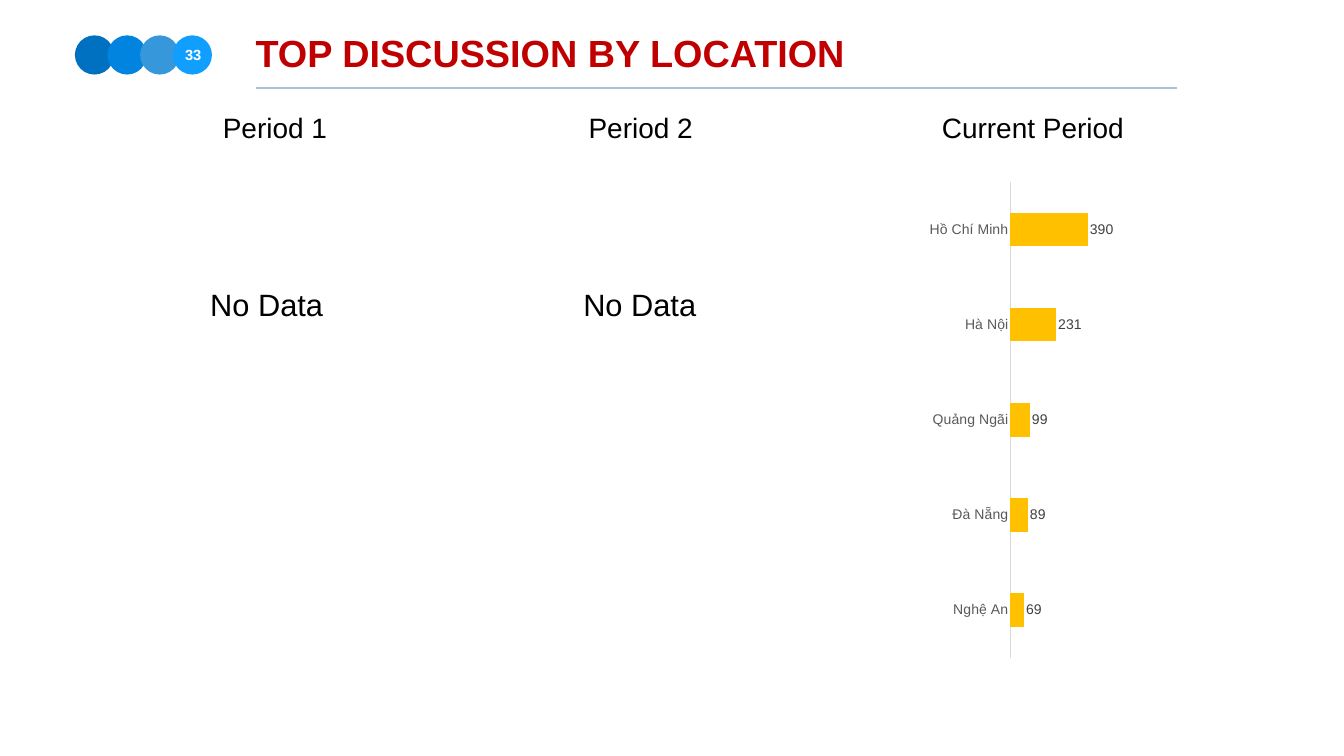
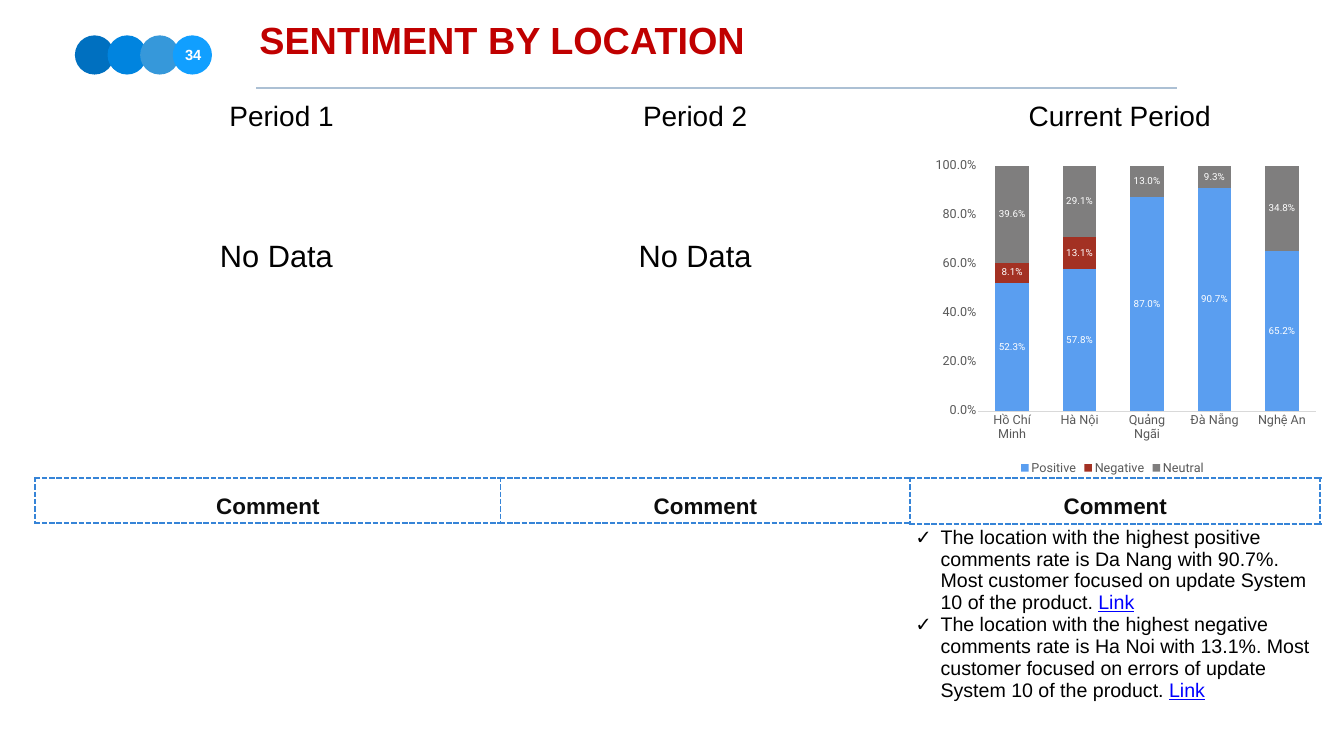
from dataclasses import dataclass

from lxml.etree import SubElement
from pptx import Presentation
from pptx.chart.data import CategoryChartData
from pptx.dml.color import RGBColor
from pptx.enum.chart import XL_CHART_TYPE, XL_LABEL_POSITION, XL_LEGEND_POSITION, XL_TICK_MARK
from pptx.enum.shapes import MSO_CONNECTOR, MSO_SHAPE
from pptx.enum.text import MSO_ANCHOR, MSO_AUTO_SIZE, PP_ALIGN
from pptx.oxml import parse_xml
from pptx.oxml.ns import nsdecls, qn
from pptx.util import Pt


@dataclass(frozen=True)
class Theme:
    font: str = "Arial"
    chart_font: str = "Roboto"
    title: str = "C00000"
    text: str = "000000"
    heading: str = "0D0D0D"
    white: str = "FFFFFF"
    link: str = "0000FF"
    rule: str = "ACC0D4"
    border: str = "3684D7"
    axis_text: str = "595959"
    axis_line: str = "D9D9D9"
    bar_label: str = "404040"
    bar: str = "FFC000"
    circles: tuple = ("0070C0", "0084DF", "3698DA", "119FFF")
    sentiment: tuple = ("5A9EF0", "A33123", "7F7E7E")
    title_size: int = 54
    number_size: int = 21
    period_size: int = 40
    no_data_size: int = 44
    comment_size: int = 32
    body_size: int = 28
    bar_size: int = 20
    axis_size: int = 18
    share_size: int = 14


THEME = Theme()
LOCATIONS = ("Hồ Chí Minh", "Hà Nội", "Quảng Ngãi", "Đà Nẵng", "Nghệ An")
MENTIONS = (390, 231, 99, 89, 69)
SENTIMENT = {
    "Positive": (0.523, 0.578, 0.87, 0.907, 0.652),
    "Negative": (0.081, 0.131, None, None, None),
    "Neutral": (0.396, 0.291, 0.13, 0.093, 0.348),
}
COMMENTS = (
    "The location with the highest positive comments rate is Da Nang with 90.7%. "
    "Most customer focused on update System 10 of the product. ",
    "The location with the highest negative comments rate is Ha Noi with 13.1%. "
    "Most customer focused on errors of update System 10 of the product. ",
)


def style_font(font, size, color, name=THEME.font, bold=False):
    font.name, font.size, font.bold = name, Pt(size), bold
    font.color.rgb = RGBColor.from_string(color)


def set_border(cell, *sides):
    """Draw dashed borders on the given sides (L, R, T, B, in that order)."""
    properties = cell._tc.get_or_add_tcPr()
    for side in sides:
        properties.append(parse_xml(
            f'<a:ln{side} {nsdecls("a")} w="{Pt(3)}"><a:solidFill>'
            f'<a:srgbClr val="{THEME.border}"/></a:solidFill>'
            f'<a:prstDash val="sysDash"/></a:ln{side}>'))


def set_bullet(paragraph, character, indent):
    properties = paragraph._p.get_or_add_pPr()
    properties.set("marL", str(Pt(indent)))
    properties.set("indent", str(-Pt(indent)))
    SubElement(properties, qn("a:buFont")).set("typeface", THEME.font)
    SubElement(properties, qn("a:buChar")).set("char", character)


def set_plot_area(chart, x, y, width, height):
    """Place the inner plot area, in fractions of the chart."""
    plot_area = chart.element.find(".//" + qn("c:plotArea"))
    for layout in plot_area.findall(qn("c:layout")):
        plot_area.remove(layout)
    plot_area.insert(0, parse_xml(
        f'<c:layout {nsdecls("c")}><c:manualLayout><c:layoutTarget val="inner"/>'
        f'<c:xMode val="edge"/><c:yMode val="edge"/><c:x val="{x}"/><c:y val="{y}"/>'
        f'<c:w val="{width}"/><c:h val="{height}"/></c:manualLayout></c:layout>'))


class ReportDeck:
    def __init__(self, theme):
        self.theme = theme
        self.presentation = Presentation()
        self.presentation.slide_width = Pt(1920)
        self.presentation.slide_height = Pt(1080)
        self.slide = None

    def add_slide(self, title, number, left, top):
        theme = self.theme
        self.slide = self.presentation.slides.add_slide(self.presentation.slide_layouts[5])
        for index, color in enumerate(theme.circles):
            self.add_circle(107 + 46.6 * index, color)
        self.add_rule(366, 1682, 125.5)
        shape = self.slide.shapes.title
        shape.left, shape.top, shape.width, shape.height = Pt(left), Pt(top), Pt(1449), Pt(89)
        self.fill_text(shape.text_frame, title, theme.title_size, theme.title, True, PP_ALIGN.LEFT)
        shape.text_frame.auto_size = MSO_AUTO_SIZE.NONE
        shape.text_frame.vertical_anchor = MSO_ANCHOR.TOP
        number_box = self.add_text(str(number), 259, 61, 34, 34,
                                   theme.number_size, theme.white, True)
        number_box.text_frame.word_wrap = False

    def add_circle(self, left, color):
        circle = self.slide.shapes.add_shape(MSO_SHAPE.OVAL, Pt(left), Pt(50.5), Pt(56), Pt(56))
        circle.shadow.inherit = False
        circle.fill.solid()
        circle.fill.fore_color.rgb = RGBColor.from_string(color)
        circle.line.fill.background()

    def add_rule(self, start, end, top):
        rule = self.slide.shapes.add_connector(
            MSO_CONNECTOR.STRAIGHT, Pt(start), Pt(top), Pt(end), Pt(top))
        rule.line.color.rgb = RGBColor.from_string(self.theme.rule)
        rule.line.width = Pt(2)
        SubElement(rule.element.spPr, qn("a:effectLst"))

    def fill_text(self, text_frame, text, size, color, bold, alignment):
        text_frame.text = text
        text_frame.word_wrap = True
        text_frame.vertical_anchor = MSO_ANCHOR.MIDDLE
        text_frame.margin_left = text_frame.margin_right = Pt(4.5)
        text_frame.margin_top = text_frame.margin_bottom = Pt(4.5)
        paragraph = text_frame.paragraphs[0]
        paragraph.alignment = alignment
        style_font(paragraph.runs[0].font, size, color, bold=bold)

    def add_text(self, text, left, top, width, height, size, color, bold=False):
        box = self.slide.shapes.add_textbox(Pt(left), Pt(top), Pt(width), Pt(height))
        self.fill_text(box.text_frame, text, size, color, bold, PP_ALIGN.CENTER)
        box.text_frame.auto_size = MSO_AUTO_SIZE.SHAPE_TO_FIT_TEXT
        return box

    def add_periods(self, top, spans):
        """Write the three column headings; spans holds (left, width) pairs."""
        for name, (left, width) in zip(("Period 1", "Period 2", "Current Period"), spans):
            self.add_text(name, left, top, width, 57, self.theme.period_size, self.theme.text)

    def add_no_data(self, top, lefts):
        for left in lefts:
            self.add_text("No Data", left, top, 296, 61,
                          self.theme.no_data_size, self.theme.text)

    def add_chart(self, kind, box, categories, series, colors, number_format,
                  font, size, gap, plot_area):
        """Add a bar or column chart without gridlines."""
        data = CategoryChartData(number_format=number_format)
        data.categories = categories
        for name, values in series.items():
            data.add_series(name, values)
        chart = self.slide.shapes.add_chart(kind, *map(Pt, box), data).chart
        style_font(chart.font, size, self.theme.axis_text, font)
        chart.has_title = chart.has_legend = False
        plot = chart.plots[0]
        plot.gap_width, plot.vary_by_categories = gap, False
        for plotted, color in zip(plot.series, colors):
            plotted.format.fill.solid()
            plotted.format.fill.fore_color.rgb = RGBColor.from_string(color)
        for axis in (chart.category_axis, chart.value_axis):
            axis.has_major_gridlines = False
            axis.major_tick_mark = axis.minor_tick_mark = XL_TICK_MARK.NONE
            style_font(axis.tick_labels.font, size, self.theme.axis_text, font)
        chart.category_axis.format.line.color.rgb = RGBColor.from_string(self.theme.axis_line)
        chart.category_axis.format.line.width = Pt(0.75)
        chart.value_axis.minimum_scale = 0
        set_plot_area(chart, *plot_area)
        return chart

    def label_series(self, chart, position, size, color, font, number_format):
        for series in chart.plots[0].series:
            labels = series.data_labels
            labels.show_value = True
            labels.position = position
            labels.number_format = number_format
            labels.number_format_is_linked = False
            style_font(labels.font, size, color, font)

    def add_mentions_chart(self):
        theme = self.theme
        chart = self.add_chart(
            XL_CHART_TYPE.BAR_CLUSTERED, (1299, 259.5, 328, 694), LOCATIONS[::-1],
            {"Series 1": MENTIONS[::-1]}, (theme.bar,), "General",
            theme.font, theme.bar_size, 182, (0.44, 0, 0.39, 0.98))
        chart.value_axis.maximum_scale = 450
        chart.value_axis.visible = False
        self.label_series(chart, XL_LABEL_POSITION.OUTSIDE_END, theme.bar_size,
                          theme.bar_label, theme.font, "General")

    def add_sentiment_chart(self):
        theme, percent = self.theme, "0.0%"
        chart = self.add_chart(
            XL_CHART_TYPE.COLUMN_STACKED, (1299, 226, 581, 456.5), LOCATIONS,
            SENTIMENT, theme.sentiment, percent,
            theme.chart_font, theme.axis_size, 100, (0.17, 0.02, 0.83, 0.77))
        chart.plots[0].overlap = 100
        axis = chart.value_axis
        axis.maximum_scale, axis.major_unit = 1, 0.2
        axis.format.line.fill.background()
        axis.tick_labels.number_format = percent
        axis.tick_labels.number_format_is_linked = False
        chart.has_legend = True
        chart.legend.position = XL_LEGEND_POSITION.BOTTOM
        chart.legend.include_in_layout = False
        style_font(chart.legend.font, theme.axis_size, theme.axis_text, theme.chart_font)
        self.label_series(chart, XL_LABEL_POSITION.CENTER, theme.share_size,
                          theme.white, theme.chart_font, percent)

    def add_comment_table(self, left, width, header_height, body_height, comments=()):
        theme = self.theme
        frame = self.slide.shapes.add_table(
            2, 1, Pt(left), Pt(682.5), Pt(width), Pt(header_height + body_height))
        # No Style, No Grid
        frame.element.find(".//" + qn("a:tableStyleId")).text = (
            "{2D5ABB26-0587-4C30-8999-92F81FD0307C}")
        table = frame.table
        table.first_row = table.horz_banding = False
        table.rows[0].height, table.rows[1].height = Pt(header_height), Pt(body_height)
        header, body = table.cell(0, 0), table.cell(1, 0)

        set_border(header, "L", "R", "T", "B")
        header.fill.solid()
        header.fill.fore_color.rgb = RGBColor.from_string(theme.white)
        header.vertical_anchor = MSO_ANCHOR.MIDDLE
        header.text_frame.text = "Comment"
        paragraph = header.text_frame.paragraphs[0]
        paragraph.alignment, paragraph.line_spacing = PP_ALIGN.CENTER, 1.5
        style_font(paragraph.runs[0].font, theme.comment_size, theme.heading, bold=True)

        set_border(body, "T")
        body.fill.background()
        body.text_frame.text = "\n".join(comments)
        if comments:
            for paragraph in body.text_frame.paragraphs:
                self.format_comment(paragraph)

    def format_comment(self, paragraph):
        """Bullet a comment and close it with a link-styled word."""
        set_bullet(paragraph, "✓", 36)
        style_font(paragraph.runs[0].font, self.theme.body_size, self.theme.text)
        link = paragraph.add_run()
        link.text = "Link"
        style_font(link.font, self.theme.body_size, self.theme.link)
        link.font.underline = True


def main():
    deck = ReportDeck(THEME)

    deck.add_slide("TOP DISCUSSION BY LOCATION", 33, 360.5, 37.5)
    deck.add_mentions_chart()
    deck.add_periods(154, ((276.5, 232.5), (799, 232.5), (1322, 307)))
    deck.add_no_data(404, (233, 766))

    deck.add_slide("SENTIMENT BY LOCATION", 34, 366, 19.5)
    deck.add_periods(136, ((297.5, 209.5), (903, 180), (1454.5, 290)))
    deck.add_sentiment_chart()
    deck.add_comment_table(50.5, 664.5, 57.5, 269)
    deck.add_comment_table(715, 585.5, 55, 260)
    deck.add_comment_table(1300.5, 585.5, 66, 269, COMMENTS)
    deck.add_no_data(334, (247, 845))

    deck.presentation.save("out.pptx")


if __name__ == "__main__":
    main()
